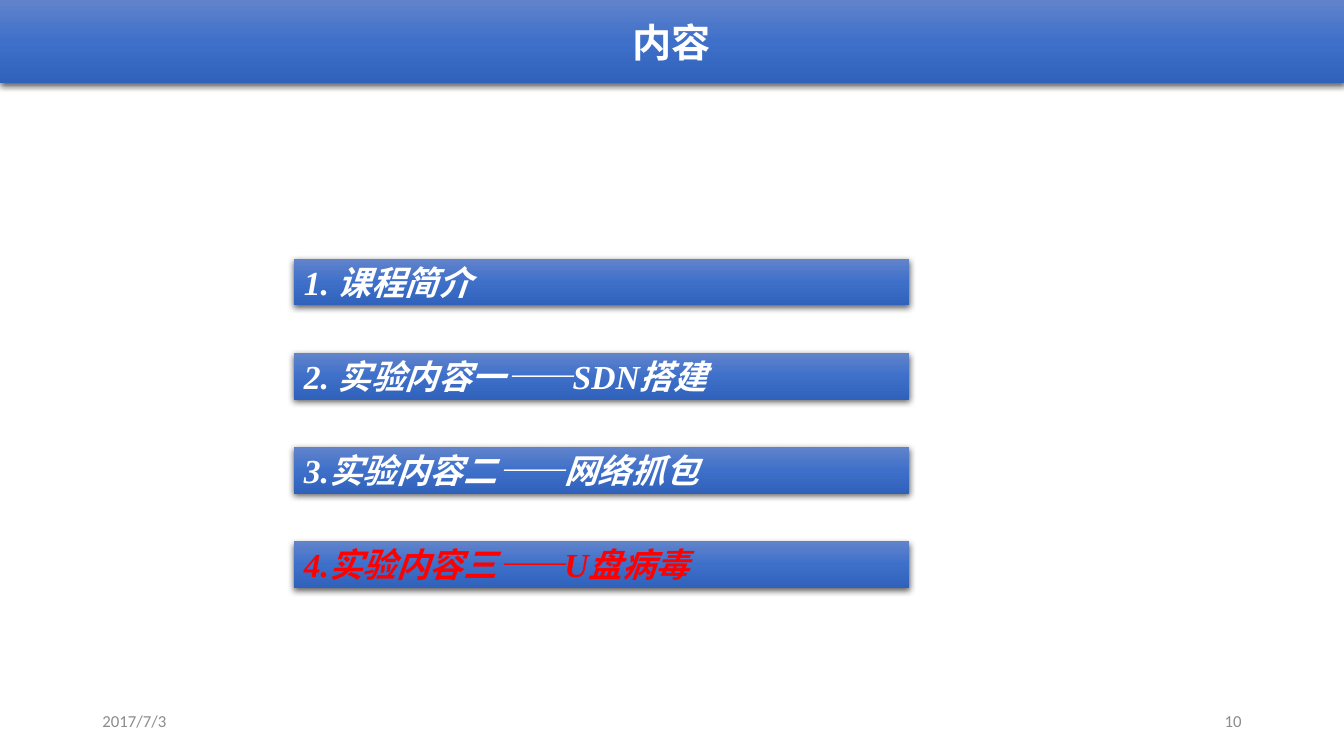
"""Build the agenda slide with a title bar and four section bars."""
from copy import deepcopy
from dataclasses import dataclass

from lxml.etree import SubElement
from pptx import Presentation
from pptx.dml.color import RGBColor
from pptx.enum.shapes import MSO_SHAPE
from pptx.enum.text import MSO_ANCHOR, PP_ALIGN
from pptx.oxml.ns import qn
from pptx.util import Cm, Pt


@dataclass(frozen=True)
class Theme:
    blues: tuple = ("6183CB", "3E70CA", "3062BB")
    white: str = "FFFFFF"
    red: str = "FF0000"
    gray: str = "8C8C8C"
    sans: str = "Calibri"
    serif: str = "Times New Roman"
    head: int = 28
    body: int = 24
    small: int = 12


theme = Theme()
TITLE = "内容"
ITEMS = [
    ("1. 课程简介", theme.white),
    ("2. 实验内容一——SDN搭建", theme.white),
    ("3.实验内容二——网络抓包", theme.white),
    ("4.实验内容三——U盘病毒", theme.red),
]
FOOTER = [
    ("2017/7/3", 2.33, PP_ALIGN.LEFT),
    ("10", 23.92, PP_ALIGN.RIGHT),
]
WIDE, HIGH = 33.87, 19.05
LEFT, TOP, STEP = 7.41, 6.53, 2.37


def paint(shape):
    fill = shape.fill
    fill.gradient()
    fill.gradient_angle = 270
    stops = shape.element.xpath(".//a:gsLst")[0]
    stops.append(deepcopy(stops[-1]))
    for stop, place, tint in zip(fill.gradient_stops, (0, 0.5, 1), theme.blues):
        stop.position = place
        stop.color.rgb = RGBColor.from_string(tint)
    shape.line.fill.background()
    shape.shadow.inherit = False
    effects = shape.element.xpath("./p:spPr/a:effectLst")[0]
    shade = SubElement(effects, qn("a:outerShdw"), blurRad=str(Pt(4.5)),
                       dist=str(Pt(1.5)), dir="5400000", algn="ctr", rotWithShape="0")
    black = SubElement(shade, qn("a:srgbClr"), val="000000")
    SubElement(black, qn("a:alpha"), val="63000")


def write(shape, text, size, face, color, align=PP_ALIGN.LEFT, bold=False, italic=False):
    frame = shape.text_frame
    frame.text = text
    frame.word_wrap = True
    frame.vertical_anchor = MSO_ANCHOR.MIDDLE
    line = frame.paragraphs[0]
    line.alignment = align
    font = line.runs[0].font
    font.size, font.name = Pt(size), face
    font.bold, font.italic = bold, italic
    font.color.rgb = RGBColor.from_string(color)


deck = Presentation()
deck.slide_width, deck.slide_height = Cm(WIDE), Cm(HIGH)
slide = deck.slides.add_slide(deck.slide_layouts[5])
shapes = slide.shapes

title = shapes.title
title.left, title.top, title.width, title.height = Cm(0), Cm(0), Cm(WIDE), Cm(2.09)
paint(title)
write(title, TITLE, theme.head, theme.sans, theme.white, PP_ALIGN.CENTER, bold=True)

for row, (text, color) in enumerate(ITEMS):
    bar = shapes.add_shape(MSO_SHAPE.RECTANGLE, Cm(LEFT), Cm(TOP + row * STEP),
                           Cm(15.5), Cm(1.17))
    paint(bar)
    write(bar, text, theme.body, theme.serif, color, bold=True, italic=True)

for text, left, align in FOOTER:
    box = shapes.add_textbox(Cm(left), Cm(17.65), Cm(7.62), Cm(1.01))
    write(box, text, theme.small, theme.sans, theme.gray, align)

deck.save("out.pptx")
